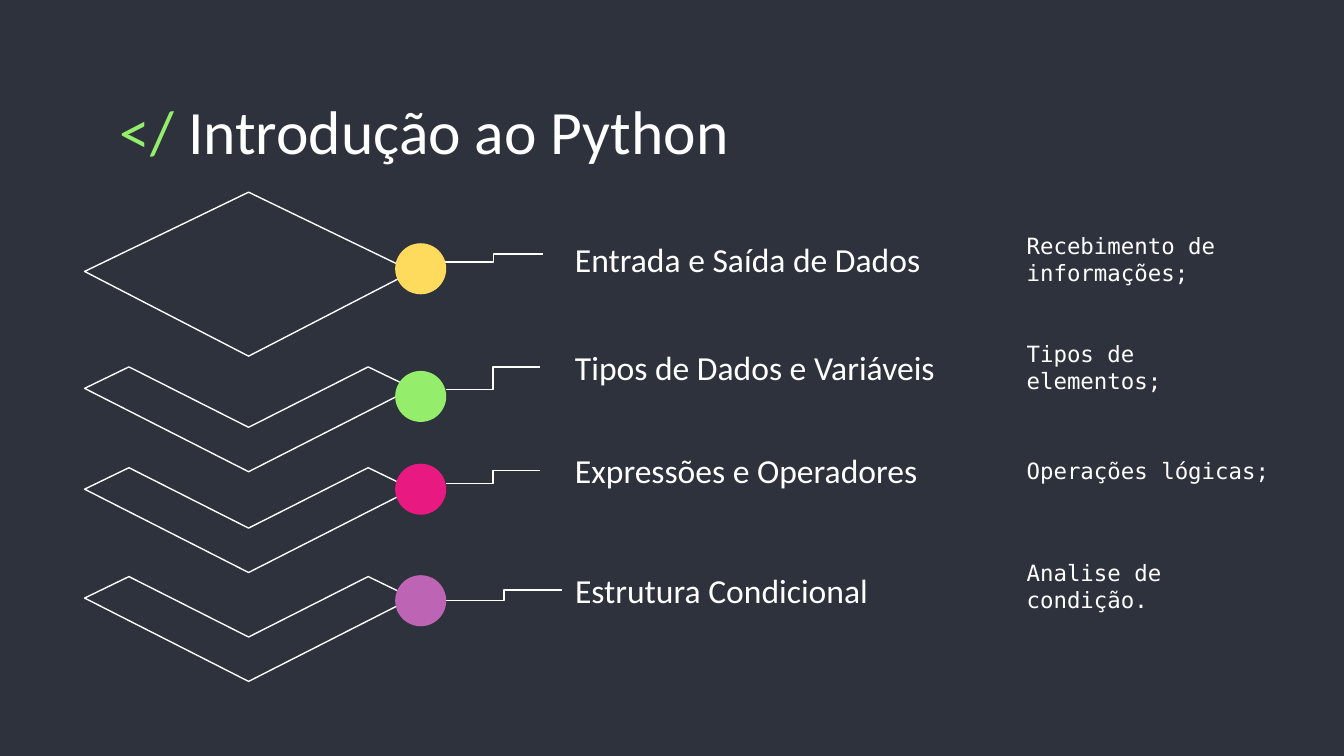
from lxml import etree
from pptx import Presentation
from pptx.dml.color import RGBColor
from pptx.enum.shapes import MSO_CONNECTOR, MSO_SHAPE
from pptx.enum.text import MSO_ANCHOR, MSO_AUTO_SIZE, PP_ALIGN
from pptx.oxml.ns import qn
from pptx.util import Inches, Pt

TOP, MIDDLE = MSO_ANCHOR.TOP, MSO_ANCHOR.MIDDLE
LEFT = PP_ALIGN.LEFT
NO_FIT = MSO_AUTO_SIZE.NONE
ELBOW = MSO_CONNECTOR.ELBOW
OVAL = MSO_SHAPE.OVAL

CELL = Inches(0.1)
COLUMNS, ROWS = 100, 56.25
LAYER_COL, DOT_COL, DOT_SIZE = 6.3, 29.4, 3.8
LABEL_COL, DETAIL_COL, DETAIL_COLS = 41.8, 75.4, 20.1
TEXT_ROWS = 5

COLORS = {
    "background": "2D323C",
    "white": "FFFFFF",
    "yellow": "FFDB5D",
    "green": "94EE6B",
    "pink": "E81981",
    "purple": "BD64B5",
}
SANS, MONO = "Calibri", "DejaVu Sans Mono"

DIAMOND = [(12.2, 0), (0, 5.9), (12.2, 12.2), (24.4, 5.9)]
CHEVRON = [(3.3, 0), (0, 1.6), (12.2, 7.8), (24.4, 1.6), (21.1, 0), (12.2, 4.5)]
LAYERS = [(CHEVRON, 42.9), (CHEVRON, 34.8), (CHEVRON, 27.3), (DIAMOND, 14.3)]

TOPICS = [
    ("Entrada e Saída de Dados", 16.8, 33.6, "Recebimento de informações;", 16.8,
     "yellow", 18.1, (40.4, 18.9), (33.1, 19.5)),
    ("Tipos de Dados e Variáveis", 24.8, 34, "Tipos de elementos;", 24.8,
     "green", 27.6, (40.2, 27.3), (33.2, 29)),
    ("Expressões e Operadores", 32.5, 32.3, "Operações lógicas;", 32.5,
     "pink", 34.5, (40.2, 35), (33.2, 36)),
    ("Estrutura Condicional", 41.4, 29.8, "Analise de condição.", 41.1,
     "purple", 42.8, (41.8, 43.9), (33.2, 44.7)),
]


def grid(*cells):
    return [round(n * CELL) for n in cells]


def rgb(name):
    return RGBColor.from_string(COLORS[name])


def format_frame(tf, anchor):
    tf.word_wrap = True
    tf.auto_size = NO_FIT
    tf.vertical_anchor = anchor
    tf.margin_left = tf.margin_right = tf.margin_top = tf.margin_bottom = CELL
    tf.paragraphs[0].alignment = LEFT


def add_run(p, text, font, size, color):
    r = p.add_run()
    r.text = text
    r.font.name = font
    r.font.size = Pt(size)
    r.font.color.rgb = rgb(color)


def add_title(s):
    title = s.shapes.title
    title.left, title.top, title.width, title.height = grid(7.9, 5.9, 84.3, 6.3)
    format_frame(title.text_frame, TOP)
    p = title.text_frame.paragraphs[0]
    add_run(p, "</ ", SANS, 33, "green")
    add_run(p, "Introdução ao Python", SANS, 33, "white")


def add_text(s, col, row, width, text, font, size):
    tf = s.shapes.add_textbox(*grid(col, row, width, TEXT_ROWS)).text_frame
    format_frame(tf, MIDDLE)
    add_run(tf.paragraphs[0], text, font, size, "white")


def add_layer(s, outline, row):
    points = [grid(LAYER_COL + x, row + y) for x, y in outline]
    builder = s.shapes.build_freeform(*points[0], scale=1.0)
    builder.add_line_segments(points[1:], close=True)
    sp = builder.convert_to_shape()
    sp.shadow.inherit = False
    sp.fill.background()
    sp.line.color.rgb = rgb("white")
    sp.line.width = Pt(0.75)


def add_elbow(s, start, end):
    line = s.shapes.add_connector(ELBOW, *grid(*start, *end))
    line.line.color.rgb = rgb("white")
    line.line.width = Pt(0.75)
    etree.SubElement(line._element.spPr, qn("a:effectLst"))


def add_dot(s, row, color):
    dot = s.shapes.add_shape(OVAL, *grid(DOT_COL, row, DOT_SIZE, DOT_SIZE))
    dot.shadow.inherit = False
    dot.fill.solid()
    dot.fill.fore_color.rgb = rgb(color)
    dot.line.fill.background()


def main():
    prs = Presentation()
    prs.slide_width, prs.slide_height = grid(COLUMNS, ROWS)
    s = prs.slides.add_slide(prs.slide_layouts[5])
    s.background.fill.solid()
    s.background.fill.fore_color.rgb = rgb("background")

    add_title(s)
    for outline, row in LAYERS:
        add_layer(s, outline, row)
    for label, label_row, label_cols, detail, detail_row, color, dot_row, start, end in TOPICS:
        add_text(s, DETAIL_COL, detail_row, DETAIL_COLS, detail, MONO, 12)
        add_text(s, LABEL_COL, label_row, label_cols, label, SANS, 18)
        add_elbow(s, start, end)
        add_dot(s, dot_row, color)

    prs.save("out.pptx")


if __name__ == "__main__":
    main()
